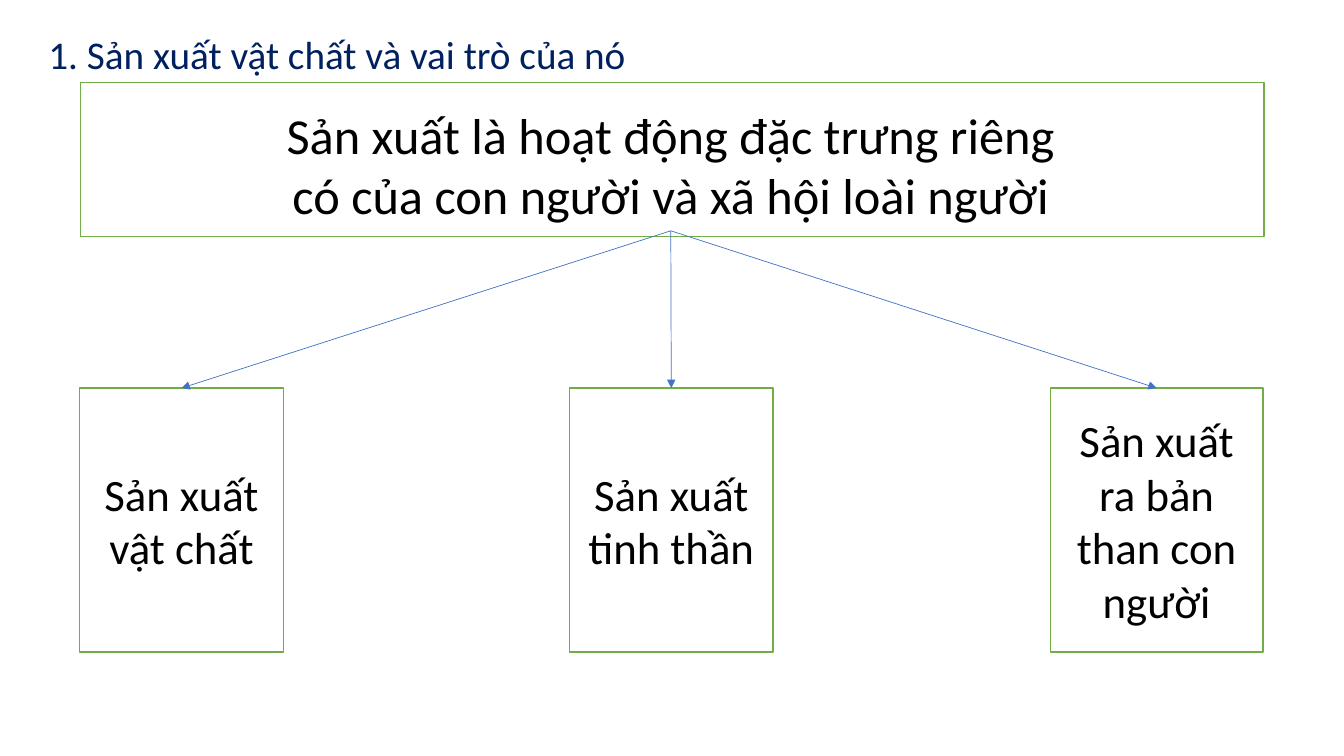
from lxml import etree
from pptx import Presentation
from pptx.dml.color import RGBColor
from pptx.enum.shapes import MSO_CONNECTOR, MSO_SHAPE
from pptx.enum.text import MSO_ANCHOR, MSO_AUTO_SIZE, PP_ALIGN
from pptx.oxml.ns import qn
from pptx.util import Pt

RECT = MSO_SHAPE.RECTANGLE
LINE = MSO_CONNECTOR.STRAIGHT
TOP, MIDDLE = MSO_ANCHOR.TOP, MSO_ANCHOR.MIDDLE
LEFT, CENTER = PP_ALIGN.LEFT, PP_ALIGN.CENTER
FIXED = MSO_AUTO_SIZE.NONE

COLORS = {
    "title": "002060",
    "text": "000000",
    "fill": "FFFFFF",
    "border": "70AD47",
    "arrow": "4472C4",
}
FONT = "Calibri"
ROW_TOP, ROW_HIGH = 277.2, 188.64
KINDS = [
    ("Sản xuất vật chất", 56.88, 145.44),
    ("Sản xuất tinh thần", 406.8, 145.44),
    ("Sản xuất ra bản than con người", 750.24, 151.92),
]


def color(name):
    return RGBColor.from_string(COLORS[name])


def write(shape, text, size, ink="text", align=CENTER, anchor=TOP):
    frame = shape.text_frame
    frame.text = text
    frame.word_wrap = True
    frame.auto_size = FIXED
    frame.vertical_anchor = anchor
    para = frame.paragraphs[0]
    para.alignment = align
    font = para.runs[0].font
    font.name = FONT
    font.size = Pt(size)
    font.color.rgb = color(ink)


def add_title(slide, text):
    title = slide.shapes.title
    title.left, title.top = Pt(27.36), Pt(18)
    title.width, title.height = Pt(904.32), Pt(41.04)
    write(title, text, 28, "title", LEFT)


def add_box(shapes, left, top, width, height):
    box = shapes.add_shape(RECT, Pt(left), Pt(top), Pt(width), Pt(height))
    box.shadow.inherit = False
    box.fill.solid()
    box.fill.fore_color.rgb = color("fill")
    box.line.color.rgb = color("border")
    box.line.width = Pt(1)
    return box


def add_head(slide, text):
    group = slide.shapes.add_group_shape()
    add_box(group.shapes, 57.6, 59.04, 845.28, 110.16)
    label = group.shapes.add_textbox(Pt(190.8), Pt(70.56), Pt(576.72), Pt(94.32))
    write(label, text, 36)
    return label


def add_arrow(slide, start, end):
    arrow = slide.shapes.add_connector(LINE, 0, 0, 0, 0)
    arrow.begin_connect(start, 2)
    arrow.end_connect(end, 0)
    arrow.line.color.rgb = color("arrow")
    arrow.line.width = Pt(0.5)
    tail = etree.SubElement(arrow.line._get_or_add_ln(), qn("a:tailEnd"))
    tail.set("type", "triangle")
    etree.SubElement(arrow._element.spPr, qn("a:effectLst"))


def main():
    deck = Presentation()
    deck.slide_width, deck.slide_height = Pt(960), Pt(540)
    slide = deck.slides.add_slide(deck.slide_layouts[5])
    add_title(slide, "1. Sản xuất vật chất và vai trò của nó")
    head = add_head(
        slide,
        "Sản xuất là hoạt động đặc trưng riêng có của con người và xã hội loài người",
    )
    boxes = []
    for text, left, width in KINDS:
        box = add_box(slide.shapes, left, ROW_TOP, width, ROW_HIGH)
        write(box, text, 32, anchor=MIDDLE)
        boxes.append(box)
    for box in boxes:
        add_arrow(slide, head, box)
    deck.save("out.pptx")


if __name__ == "__main__":
    main()
